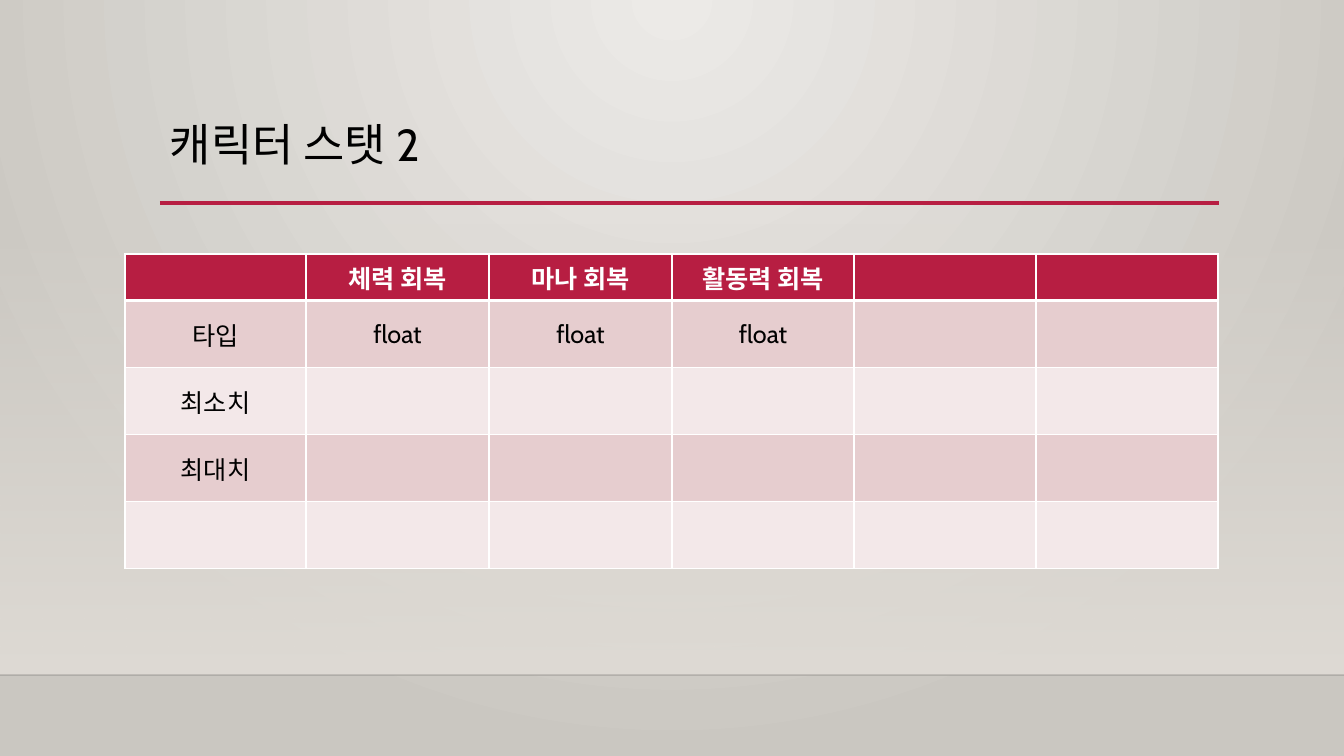
from dataclasses import dataclass

from lxml import etree
from pptx import Presentation
from pptx.dml.color import RGBColor
from pptx.enum.shapes import MSO_CONNECTOR, MSO_SHAPE
from pptx.enum.text import MSO_ANCHOR, PP_ALIGN
from pptx.oxml import parse_xml
from pptx.oxml.ns import nsdecls, qn
from pptx.util import Inches, Pt

MIDDLE = MSO_ANCHOR.MIDDLE
LEFT, CENTER = PP_ALIGN.LEFT, PP_ALIGN.CENTER
RECTANGLE = MSO_SHAPE.RECTANGLE
STRAIGHT = MSO_CONNECTOR.STRAIGHT

SCALE = Inches(1) / 100.8
WIDTH, HEIGHT = 1344, 756


@dataclass(frozen=True)
class Theme:
    font: str = "Cabin"
    title_size: int = 32
    table_size: int = 18
    ink: str = "000000"
    white: str = "FFFFFF"
    accent: str = "B71E42"
    band_dark: str = "E6CDCF"
    band_light: str = "F3E8E9"
    glow: str = "ECEAE7"
    backdrop: str = "CAC7C1"
    wall: str = "DFDBD5"
    floor_edge: str = "000001"


def px(value):
    return round(value * SCALE)


def gradient_fill(stops, shade):
    stop_xml = "".join(
        f'<a:gs pos="{position * 1000}"><a:srgbClr val="{color}">'
        f'<a:alpha val="{opacity * 1000}"/></a:srgbClr></a:gs>'
        for position, color, opacity in stops
    )
    return parse_xml(
        f'<a:gradFill {nsdecls("a")} rotWithShape="1">'
        f"<a:gsLst>{stop_xml}</a:gsLst>{shade}</a:gradFill>"
    )


def replace_solid(parent, gradient):
    solid = parent.find(qn("a:solidFill"))
    parent.replace(solid, gradient)


def write_text(frame, text, *, font, size, color, bold=False, align=LEFT, spacing=1.0):
    paragraph = frame.paragraphs[0]
    paragraph.alignment = align
    paragraph.line_spacing = spacing
    run = paragraph.add_run()
    run.text = text
    run.font.name = font
    run.font.size = Pt(size)
    run.font.bold = bold
    run.font.color.rgb = RGBColor.from_string(color)


class SlideBuilder:
    def __init__(self, slide, theme):
        self.slide = slide
        self.theme = theme

    def background(self):
        self.slide.background.fill.solid()
        properties = next(self.slide.element.iter(qn("p:bgPr")))
        shade = (
            '<a:path path="circle">'
            '<a:fillToRect l="43000" t="0" r="43000" b="100000"/></a:path>'
        )
        stops = [(0, self.theme.glow, 100), (100, self.theme.backdrop, 100)]
        replace_solid(properties, gradient_fill(stops, shade))

    def fading_panel(self, left, top, width, height, color):
        panel = self.slide.shapes.add_shape(
            RECTANGLE, px(left), px(top), px(width), px(height)
        )
        panel.shadow.inherit = False
        panel.line.fill.background()
        panel.fill.solid()
        stops = [(0, color, 0), (100, color, 100)]
        shade = '<a:lin ang="5400000" scaled="0"/>'
        replace_solid(panel.element.spPr, gradient_fill(stops, shade))

    def rule(self, left, right, y, color, weight, opacity=100):
        rule = self.slide.shapes.add_connector(
            STRAIGHT, px(left), px(y), px(right), px(y)
        )
        rule.line.color.rgb = RGBColor.from_string(color)
        rule.line.width = Pt(weight)
        properties = rule.element.spPr
        tint = next(properties.iter(qn("a:srgbClr")))
        etree.SubElement(tint, qn("a:alpha"), val=str(opacity * 1000))
        etree.SubElement(properties, qn("a:effectLst"))

    def title(self, left, top, width, height, text):
        box = self.slide.shapes.add_textbox(px(left), px(top), px(width), px(height))
        frame = box.text_frame
        frame.word_wrap = True
        frame.vertical_anchor = MIDDLE
        write_text(
            frame, text, font=self.theme.font, size=self.theme.title_size,
            color=self.theme.ink, spacing=0.9,
        )

    def cell_borders(self, cell, weights):
        properties = cell._tc.get_or_add_tcPr()
        for index, (side, weight) in enumerate(zip("LRTB", weights)):
            border = parse_xml(
                f'<a:ln{side} {nsdecls("a")} w="{Pt(weight)}"><a:solidFill>'
                f'<a:srgbClr val="{self.theme.white}"/></a:solidFill></a:ln{side}>'
            )
            properties.insert(index, border)

    def table(self, left, top, column_widths, row_heights, content):
        theme = self.theme
        table = self.slide.shapes.add_table(
            len(row_heights), len(column_widths), px(left), px(top),
            px(sum(column_widths)), px(sum(row_heights)),
        ).table
        for column, width in zip(table.columns, column_widths):
            column.width = px(width)
        for row, height in zip(table.rows, row_heights):
            row.height = px(height)
        for row_index, row in enumerate(table.rows):
            header = row_index == 0
            band = theme.band_dark if row_index % 2 else theme.band_light
            labels = content[row_index]
            for column_index, cell in enumerate(row.cells):
                cell.fill.solid()
                cell.fill.fore_color.rgb = RGBColor.from_string(
                    theme.accent if header else band
                )
                cell.vertical_anchor = MIDDLE
                self.cell_borders(
                    cell, (1, 1, 3 if row_index == 1 else 1, 3 if header else 1)
                )
                if column_index < len(labels) and labels[column_index]:
                    write_text(
                        cell.text_frame, labels[column_index], font=theme.font,
                        size=theme.table_size, bold=header, align=CENTER,
                        color=theme.white if header else theme.ink,
                    )


STATS = [
    ["", "체력 회복", "마나 회복", "활동력 회복"],
    ["타입"] + ["float"] * 3,
    ["최소치"],
    ["최대치"],
    [],
]

theme = Theme()
presentation = Presentation()
presentation.slide_width = px(WIDTH)
presentation.slide_height = px(HEIGHT)
builder = SlideBuilder(
    presentation.slides.add_slide(presentation.slide_layouts[6]), theme
)

FLOOR = 675
WALL_TOP = 223
builder.background()
builder.fading_panel(0, WALL_TOP, WIDTH, FLOOR - WALL_TOP, theme.wall)
builder.rule(0, WIDTH, FLOOR, theme.floor_edge, 1, opacity=20)
builder.rule(160, 1219, 203, theme.accent, 2.5)
builder.table(125, 254, [181] + [183] * 2 + [182] * 3, [46] + [67] * 4, STATS)
builder.title(160, 89, 1058, 116, "캐릭터 스탯 2")

presentation.save("out.pptx")
